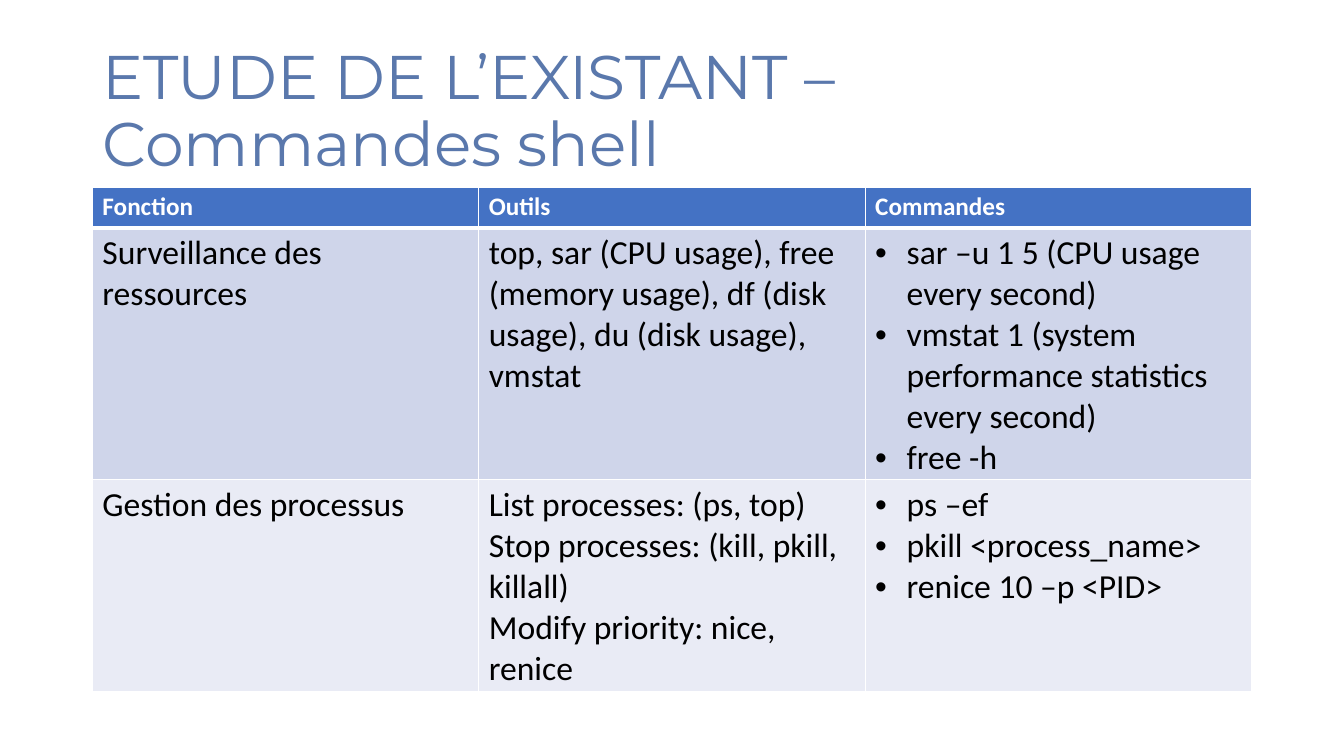
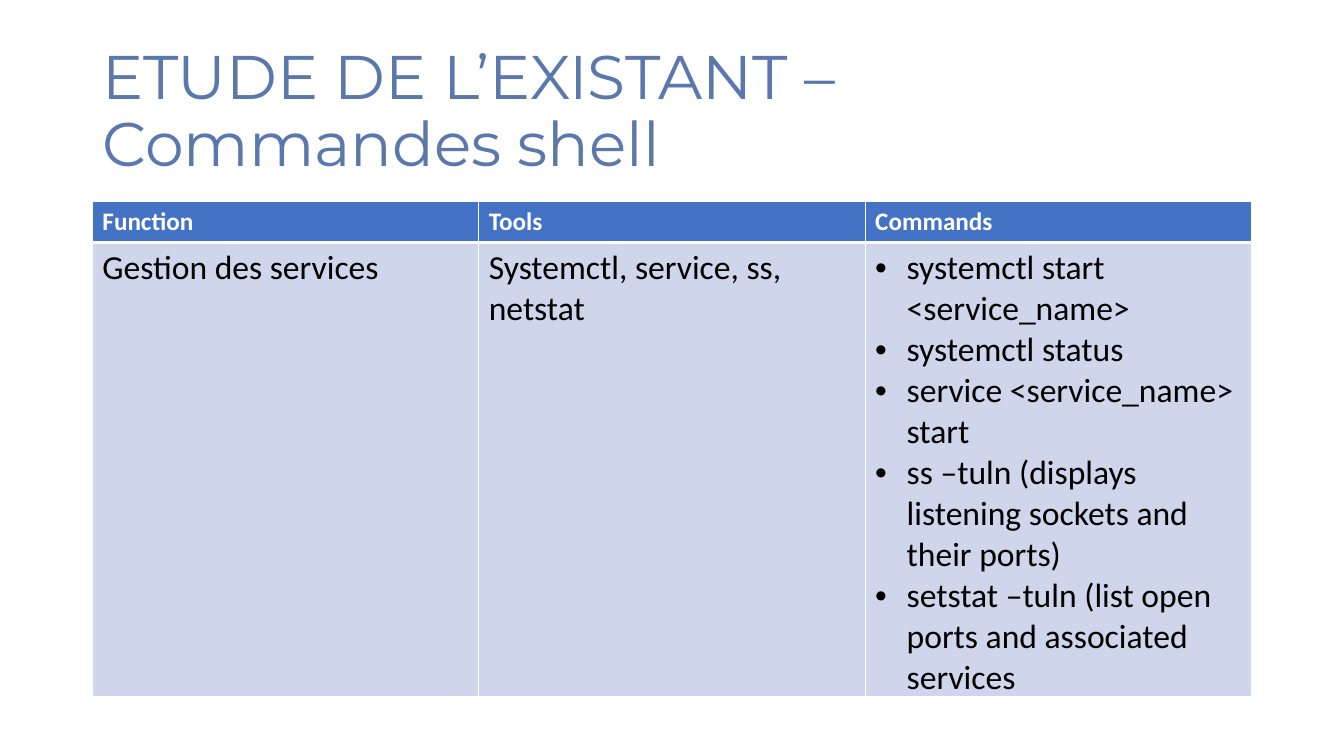
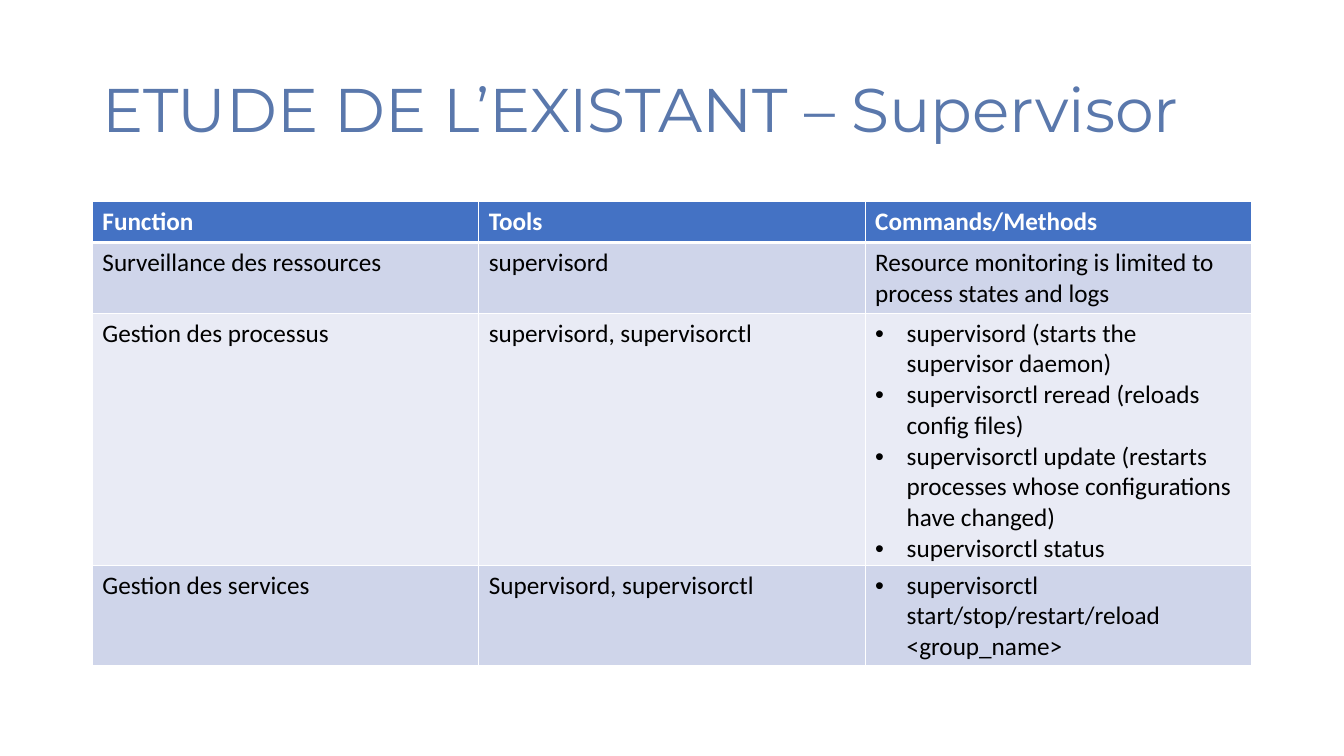
import pptx
import pptx.util
import pptx.dml.color
import pptx.enum.text
import pptx.oxml
import pptx.oxml.ns

COLORS = {
    "title": "5A78AC",
    "header": "4472C4",
    "band_dark": "CFD5EA",
    "band_light": "E9EBF5",
    "rule": "FFFFFF",
    "header_text": "FFFFFF",
    "body_text": "000000",
}
SCALE = 9525  # EMU in one px
LEFT, WIDTH = 88, 1104
TITLE_TOP, TITLE_HEIGHT = 38, 139
ROW_HEIGHT = 39  # rows grow with their text
BULLET_INDENT = 30


def px(length):
    return pptx.util.Emu(length * SCALE)


def color(name):
    return pptx.dml.color.RGBColor.from_string(COLORS[name])


class Deck:
    """Holds the shared style and the current page."""

    def __init__(self):
        self.deck = pptx.Presentation()
        self.deck.slide_width, self.deck.slide_height = px(1280), px(720)
        self.page = None

    def add_page(self, title):
        self.page = self.deck.slides.add_slide(self.deck.slide_layouts[6])
        self.title(title)

    def style(self, para, font, size, name, bold=False):
        para.font.name = font
        para.font.size = pptx.util.Pt(size)
        para.font.bold = bold
        para.font.color.rgb = color(name)

    def title(self, text):
        box = self.page.shapes.add_textbox(
            px(LEFT), px(TITLE_TOP), px(WIDTH), px(TITLE_HEIGHT))
        frame = box.text_frame
        frame.word_wrap = True
        frame.vertical_anchor = pptx.enum.text.MSO_ANCHOR.MIDDLE
        frame.text = text
        para = frame.paragraphs[0]
        para.line_spacing = 0.9
        self.style(para, "Montserrat", 44, "title")

    def table(self, top, height, rows, size):
        """Draw a header row and banded rows; a list in a cell is bulleted."""
        count = len(rows[0])
        shape = self.page.shapes.add_table(
            len(rows), count, px(LEFT), px(top), px(WIDTH), px(height))
        grid = shape.table
        for column in grid.columns:
            column.width = px(WIDTH // count)
        for index, row in enumerate(rows):
            grid.rows[index].height = px(ROW_HEIGHT)
            for position, content in enumerate(row):
                self.cell(grid.cell(index, position), content, index, size)
        shape.height = px(height)

    def cell(self, cell, content, index, size):
        header = index == 0
        fill = "header" if header else "band_dark" if index % 2 else "band_light"
        cell.fill.solid()
        cell.fill.fore_color.rgb = color(fill)
        self.borders(cell, 3 if header else 1, 3 if index == 1 else 1)

        bulleted = isinstance(content, list)
        cell.text = "\n".join(content) if bulleted else content
        for para in cell.text_frame.paragraphs:
            if header:
                self.style(para, "Calibri", 18, "header_text", bold=True)
            else:
                self.style(para, "Calibri", size, "body_text")
            if bulleted:
                self.bullet(para)

    def borders(self, cell, bottom, top):
        properties = cell._tc.get_or_add_tcPr()
        widths = {"L": 1, "R": 1, "T": top, "B": bottom}
        for order, (side, width) in enumerate(widths.items()):
            line = pptx.oxml.parse_xml(
                f'<a:ln{side} {pptx.oxml.ns.nsdecls("a")} w="{width * 12700}">'
                f'<a:solidFill><a:srgbClr val="{COLORS["rule"]}"/></a:solidFill>'
                f'</a:ln{side}>')
            properties.insert(order, line)

    def bullet(self, para):
        properties = para._p.get_or_add_pPr()
        properties.set("marL", str(px(BULLET_INDENT)))
        properties.set("indent", str(-px(BULLET_INDENT)))
        declaration = pptx.oxml.ns.nsdecls("a")
        marks = (f'<a:buFont {declaration} typeface="Arial"/>',
                 f'<a:buChar {declaration} char="•"/>')
        for order, mark in enumerate(marks):
            properties.insert(order, pptx.oxml.parse_xml(mark))


def main():
    deck = Deck()
    topic = "ETUDE DE L’EXISTANT – "
    shell = topic + "Commandes shell"
    resources = "Surveillance des ressources"
    processes = "Gestion des processus"
    services = "Gestion des services"

    # Shell commands: resources and processes
    deck.add_page(shell)
    deck.table(178, 481, [
        ("Fonction", "Outils", "Commandes"),
        (resources,
         "top, sar (CPU usage), free (memory usage), df (disk usage), "
         "du (disk usage), vmstat",
         ["sar –u 1 5 (CPU usage every second)",
          "vmstat 1 (system performance statistics every second)",
          "free -h"]),
        (processes,
         "List processes: (ps, top)\n"
         "Stop processes: (kill, pkill, killall)\n"
         "Modify priority: nice, renice",
         ["ps –ef", "pkill <process_name>", "renice 10 –p <PID>"]),
    ], size=24)

    # Shell commands: services
    deck.add_page(shell)
    deck.table(192, 471, [
        ("Function", "Tools", "Commands"),
        (services,
         "Systemctl, service, ss, netstat",
         ["systemctl start <service_name>",
          "systemctl status",
          "service <service_name> start",
          "ss –tuln (displays listening sockets and their ports)",
          "setstat –tuln (list open ports and associated services"]),
    ], size=24)

    # Supervisor
    deck.add_page(topic + "Supervisor")
    deck.table(192, 443, [
        ("Function", "Tools", "Commands/Methods"),
        (resources,
         "supervisord",
         "Resource monitoring is limited to process states and logs"),
        (processes,
         "supervisord, supervisorctl",
         ["supervisord (starts the supervisor daemon)",
          "supervisorctl reread (reloads config files)",
          "supervisorctl update (restarts processes whose configurations "
          "have changed)",
          "supervisorctl status"]),
        (services,
         "Supervisord, supervisorctl",
         ["supervisorctl start/stop/restart/reload <group_name>"]),
    ], size=18)

    deck.deck.save("out.pptx")


if __name__ == "__main__":
    main()
